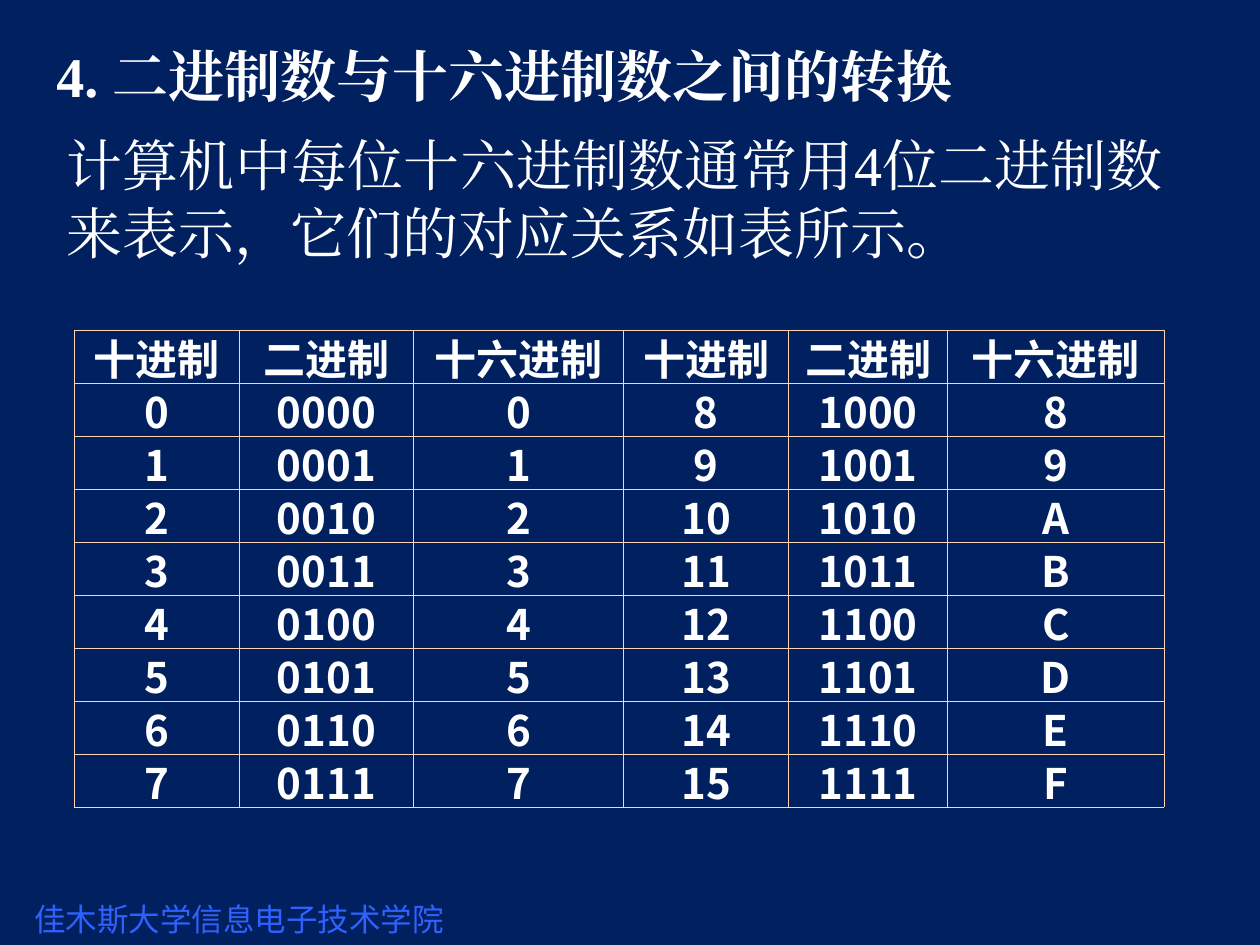
from dataclasses import dataclass

from lxml import etree
from pptx import Presentation
from pptx.dml.color import RGBColor
from pptx.enum import text as t
from pptx.oxml import ns
from pptx.util import Inches, Pt


@dataclass(frozen=True)
class Theme:
    background: str = "002060"
    ink: str = "FFFFFF"
    footer: str = "2F61FF"
    rule: str = "FCD5B5"
    rule_width: float = 0.45
    serif: str = "Times New Roman"
    sans: str = "Noto Sans CJK SC"
    heading_size: int = 32
    table_size: int = 24
    footer_size: int = 18


THEME = Theme()
HEADERS = ["十进制", "二进制", "十六进制"] * 2
COLUMN_WIDTHS = [1.31, 1.38, 1.67, 1.31, 1.26, 1.72]
ROW_HEIGHT = 0.42


def style_run(run, font, size, color=THEME.ink, bold=False):
    run.font.name = font
    run.font.size = Pt(size)
    run.font.bold = bold
    run.font.color.rgb = RGBColor.from_string(color)
    east_asian = etree.SubElement(run._r.get_or_add_rPr(), ns.qn("a:ea"))
    east_asian.set("typeface", font)


def add_text(slide, box, wording, font, size, margins=(0.1, 0.05), **look):
    frame = slide.shapes.add_textbox(*map(Inches, box)).text_frame
    frame.word_wrap = True
    frame.margin_left = frame.margin_right = Inches(margins[0])
    frame.margin_top = frame.margin_bottom = Inches(margins[1])
    frame.text = wording
    style_run(frame.paragraphs[0].runs[0], font, size, **look)
    return frame


def add_title(slide, box):
    title = add_text(slide, box, "4. 二进制数与十六进制数之间的转换",
                     THEME.serif, THEME.heading_size, bold=True)
    title.vertical_anchor = t.MSO_ANCHOR.MIDDLE


def add_intro(slide, box):
    intro = add_text(
        slide, box,
        "计算机中每位十六进制数通常用4位二进制数来表示，它们的对应关系如表所示。",
        THEME.serif, THEME.heading_size)
    intro.paragraphs[0].alignment = t.PP_ALIGN.JUSTIFY
    intro.paragraphs[0].space_before = Pt(20)


def add_footer(slide, box):
    add_text(slide, box, "佳木斯大学信息电子技术学院", THEME.sans,
             THEME.footer_size, margins=(0, 0), color=THEME.footer)


def border_cell(cell):
    properties = cell._tc.get_or_add_tcPr()
    for position, side in enumerate(("lnL", "lnR", "lnT", "lnB")):
        line = etree.Element(ns.qn(f"a:{side}"), w=str(Pt(THEME.rule_width)))
        fill = etree.SubElement(line, ns.qn("a:solidFill"))
        etree.SubElement(fill, ns.qn("a:srgbClr"), val=THEME.rule)
        properties.insert(position, line)


def fill_cell(cell, wording, anchor):
    cell.fill.background()
    border_cell(cell)
    cell.vertical_anchor = anchor
    cell.text = wording
    paragraph = cell.text_frame.paragraphs[0]
    paragraph.alignment = t.PP_ALIGN.CENTER
    paragraph.line_spacing = 0.8
    indents = paragraph._p.get_or_add_pPr()
    indents.set("marL", str(Inches(0.38)))
    indents.set("indent", str(Inches(-0.38)))
    style_run(paragraph.runs[0], THEME.sans, THEME.table_size, bold=True)


def number_forms(number):
    return [str(number), f"{number:04b}", f"{number:X}"]


def add_conversion_table(slide, left, top):
    # Each row pairs a number with the one eight above it
    rows = [HEADERS] + [number_forms(n) + number_forms(n + 8) for n in range(8)]
    table = slide.shapes.add_table(
        len(rows), len(HEADERS), Inches(left), Inches(top),
        Inches(sum(COLUMN_WIDTHS)), Inches(ROW_HEIGHT * len(rows))).table
    table.horz_banding = False
    for column, width in zip(table.columns, COLUMN_WIDTHS):
        column.width = Inches(width)
    for r, values in enumerate(rows):
        table.rows[r].height = Inches(ROW_HEIGHT)
        anchor = t.MSO_ANCHOR.MIDDLE if r else t.MSO_ANCHOR.TOP
        for c, value in enumerate(values):
            fill_cell(table.cell(r, c), value, anchor)


def main():
    deck = Presentation()
    deck.slide_width, deck.slide_height = Inches(10), Inches(7.5)
    slide = deck.slides.add_slide(deck.slide_layouts[6])
    slide.background.fill.solid()
    slide.background.fill.fore_color.rgb = RGBColor.from_string(THEME.background)

    add_footer(slide, (0.27, 7.14, 3.65, 0.3))
    add_title(slide, (0.35, 0.21, 9, 0.77))
    add_conversion_table(slide, 0.59, 2.62)
    add_intro(slide, (0.43, 0.99, 8.9, 1.17))
    deck.save("out.pptx")


if __name__ == "__main__":
    main()
